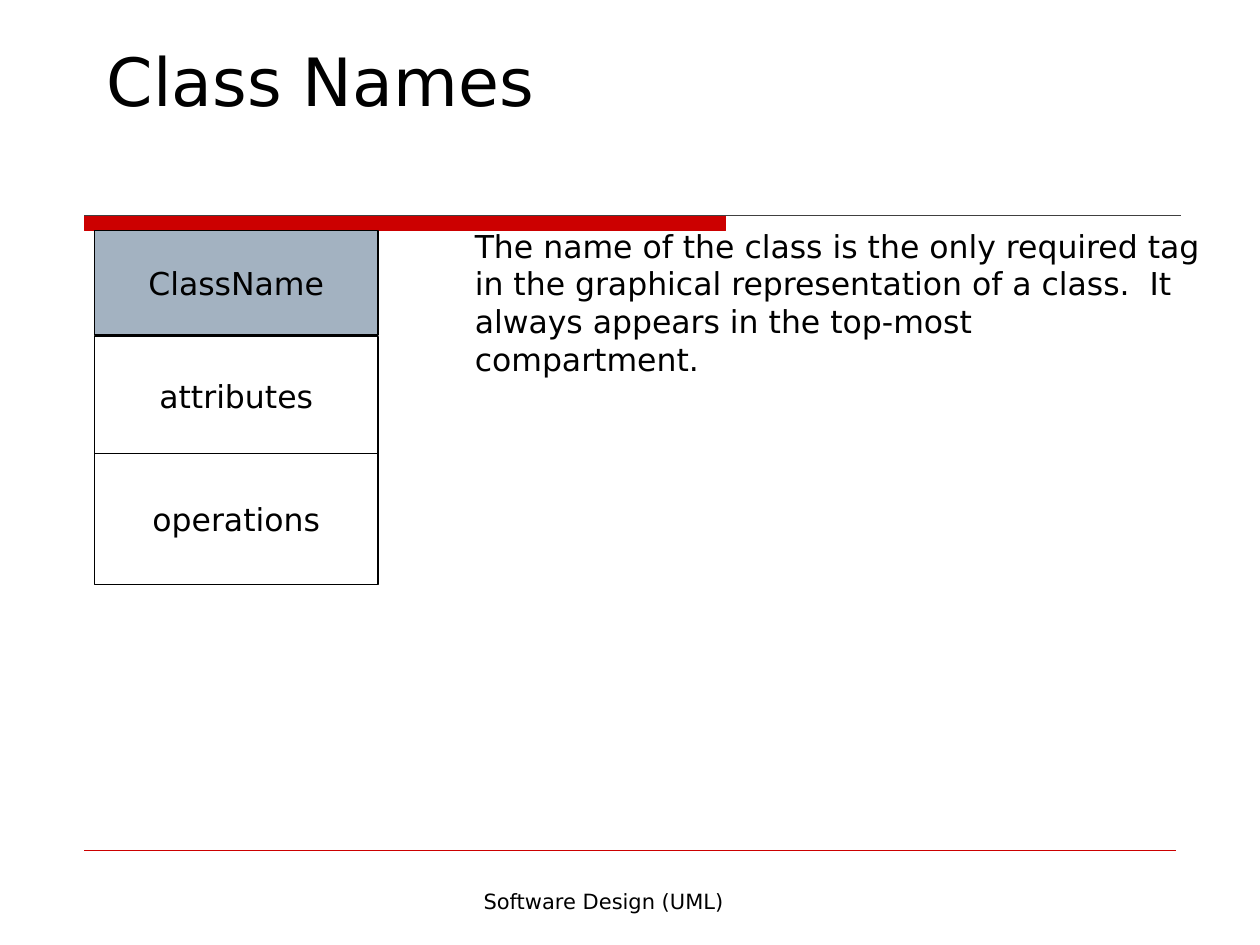
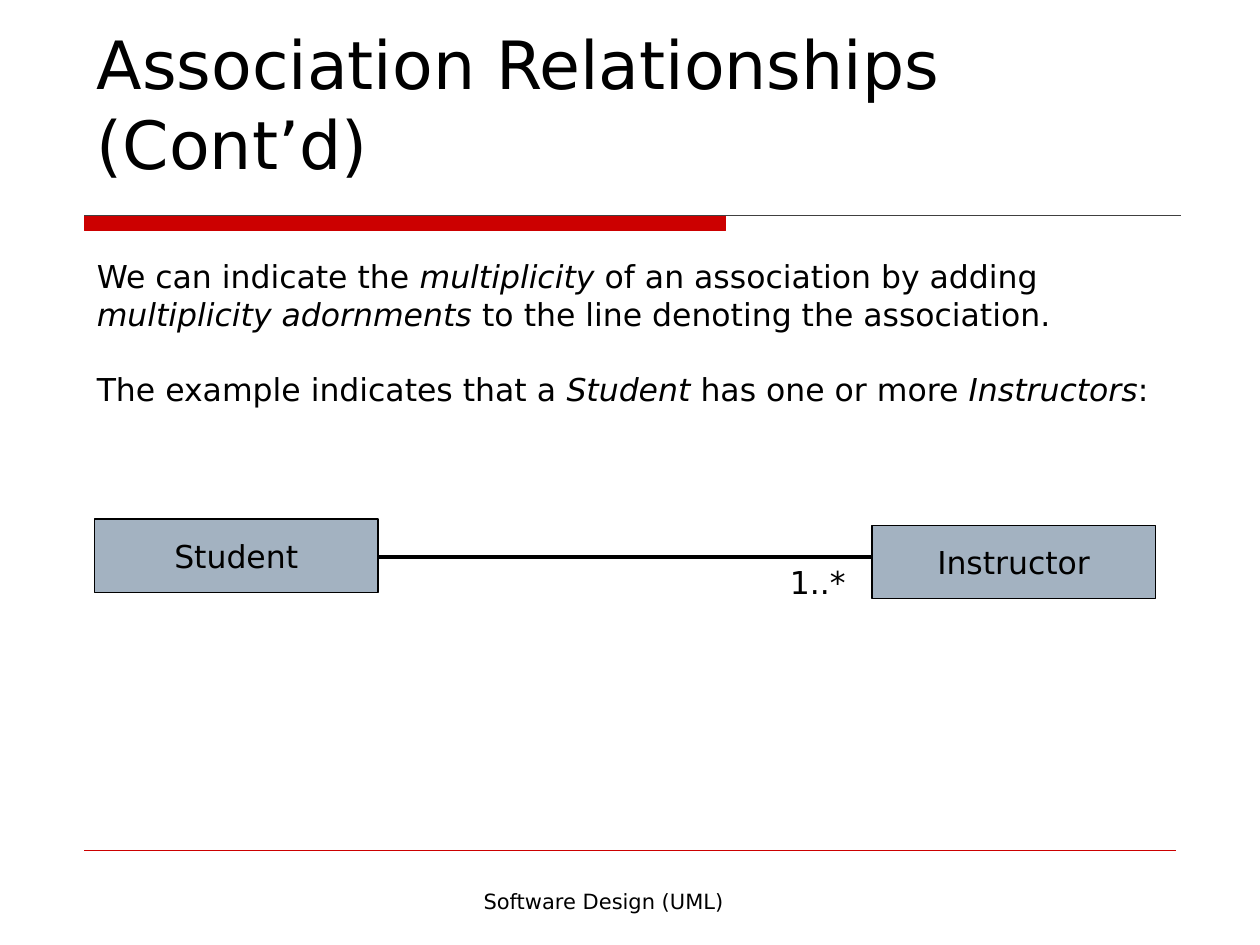
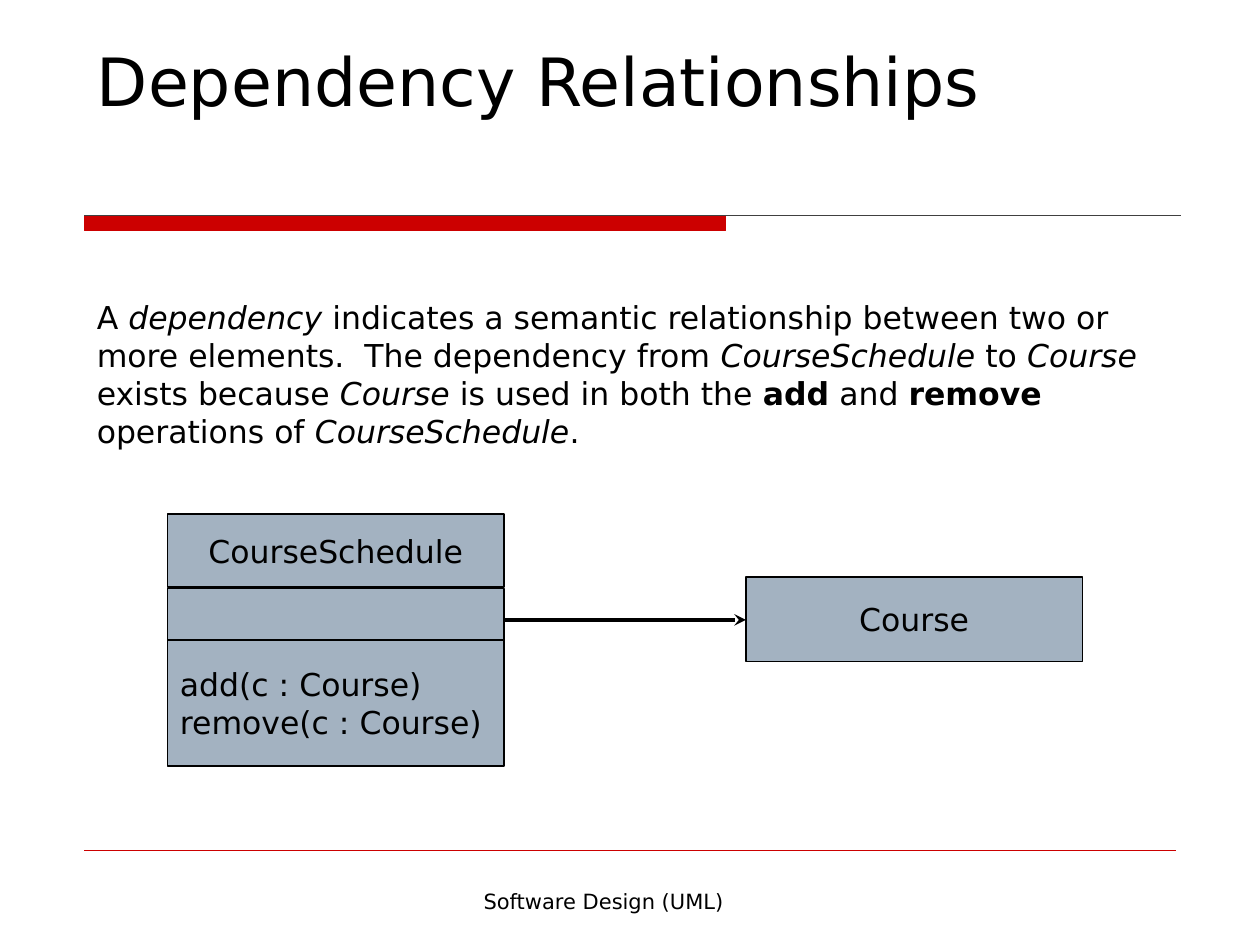
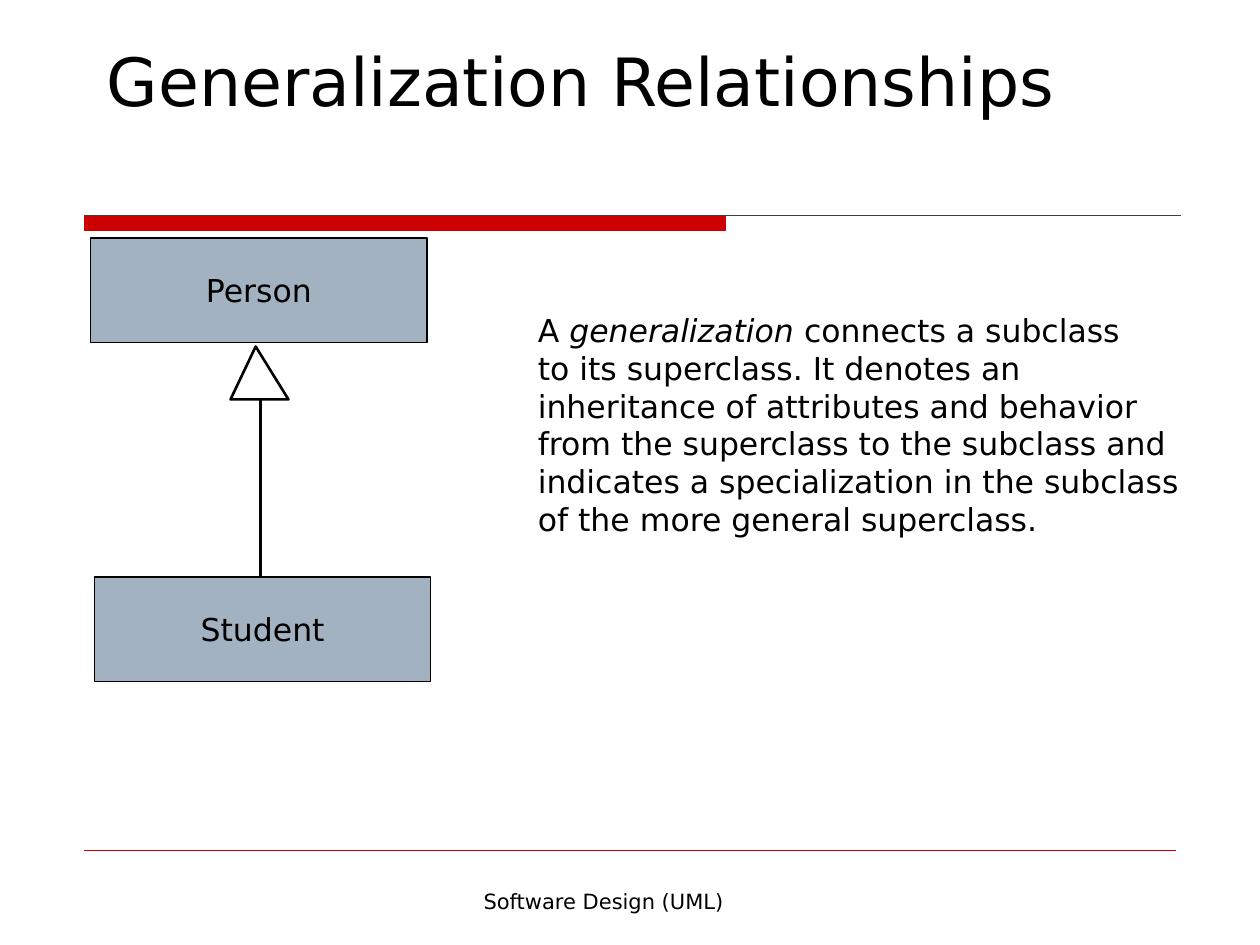
from dataclasses import dataclass

from lxml import etree
from pptx import Presentation
from pptx.dml.color import RGBColor
from pptx.enum.shapes import MSO_CONNECTOR, MSO_SHAPE
from pptx.enum.text import MSO_ANCHOR, PP_ALIGN
from pptx.oxml.ns import qn
from pptx.util import Inches, Pt


@dataclass(frozen=True)
class Theme:
    font: str = "DejaVu Sans"
    title_size: int = 38
    body_size: int = 18
    footer_size: int = 12
    black: RGBColor = RGBColor(0x00, 0x00, 0x00)
    white: RGBColor = RGBColor(0xFF, 0xFF, 0xFF)
    red: RGBColor = RGBColor(0xCC, 0x00, 0x00)
    gray: RGBColor = RGBColor(0x40, 0x40, 0x40)
    class_fill: RGBColor = RGBColor(0xA3, 0xB2, 0xC1)


theme = Theme()
ITALIC = {"italic": True}
BOLD = {"bold": True}


def add_block(shapes, area, paragraphs, fill=None, size=theme.body_size,
              align=PP_ALIGN.LEFT, anchor=MSO_ANCHOR.TOP, space_after=0):
    """Add a text box, or an outlined rectangle when a fill is given.

    A paragraph is a list of runs; a run is a string or (string, font values).
    """
    area = [Inches(value) for value in area]
    if fill is None:
        shape = shapes.add_textbox(*area)
    else:
        shape = shapes.add_shape(MSO_SHAPE.RECTANGLE, *area)
        shape.shadow.inherit = False
        shape.fill.solid()
        shape.fill.fore_color.rgb = fill
        shape.line.color.rgb = theme.black
        shape.line.width = Pt(0.75)
    frame = shape.text_frame
    frame.word_wrap = True
    frame.vertical_anchor = anchor
    for index, runs in enumerate(paragraphs):
        paragraph = frame.add_paragraph() if index else frame.paragraphs[0]
        paragraph.alignment = align
        paragraph.space_after = Pt(space_after)
        for item in runs:
            text, values = (item, {}) if isinstance(item, str) else item
            run = paragraph.add_run()
            run.text = text
            run.font.color.rgb = theme.black
            for name, value in {"name": theme.font, "size": Pt(size), **values}.items():
                setattr(run.font, name, value)
    return shape


def add_line(shapes, start, end, color=theme.black, width=2.25):
    line = shapes.add_connector(
        MSO_CONNECTOR.STRAIGHT, *[Inches(value) for value in (*start, *end)])
    line.line.color.rgb = color
    line.line.width = Pt(width)
    etree.SubElement(line.element.spPr, qn("a:effectLst"))
    return line


presentation = Presentation()
presentation.slide_width = Inches(10)
presentation.slide_height = Inches(7.5)

CLASS_BOX = {"fill": theme.class_fill, "align": PP_ALIGN.CENTER, "anchor": MSO_ANCHOR.MIDDLE}

# Band, footer and title of every slide
titles = [
    ("Class Names", (0.75, 0.42, 8.58, 0.58)),
    ("Association Relationships (Cont’d)", (0.67, 0.92, 8.92, 0.58)),
    ("Dependency Relationships", (0.67, 0.42, 8.58, 0.58)),
    ("Generalization Relationships", (0.75, 0.42, 8.58, 0.58)),
]
slide_shapes = []
for title, area in titles:
    slide = presentation.slides.add_slide(presentation.slide_layouts[6])
    shapes = slide.shapes
    band = add_block(shapes, (0.67, 1.71, 5.09, 0.12), [], fill=theme.red)
    band.line.color.rgb = theme.red
    add_line(shapes, (0.67, 1.71), (9.37, 1.71), theme.gray, 0.75)
    add_line(shapes, (0.67, 6.75), (9.33, 6.75), theme.red, 0.75)
    add_block(shapes, (2.58, 7, 4.42, 0.5), [["Software Design (UML)"]],
              size=theme.footer_size, align=PP_ALIGN.CENTER)
    add_block(shapes, area, [[title]], size=theme.title_size, anchor=MSO_ANCHOR.BOTTOM)
    slide_shapes.append(shapes)
names, association, dependency, generalization = slide_shapes

# Class names
class_diagram = names.add_group_shape().shapes
for label, top, height, fill in [
    ("ClassName", 1.83, 0.83, theme.class_fill),
    ("attributes", 2.67, 0.94, theme.white),
    ("operations", 3.6, 1.04, theme.white),
]:
    add_block(class_diagram, (0.75, top, 2.25, height), [[label]],
              **{**CLASS_BOX, "fill": fill})
add_block(names, (3.67, 1.75, 6, 1.7), [[
    "The name of the class is the only required tag in the graphical "
    "representation of a class.  It always appears in the top-most compartment."]])

# Association with multiplicity
add_block(association, (0.67, 1.99, 8.87, 2.1), [
    ["We can indicate the ", ("multiplicity", ITALIC),
     " of an association by adding ", ("multiplicity adornments", ITALIC),
     " to the line denoting the association."],
    ["The example indicates that a ", ("Student", ITALIC),
     " has one or more ", ("Instructors", ITALIC), ":"],
], space_after=21.5)
add_line(association, (3, 4.42), (7, 4.42))
for label, left, top in [("Instructor", 6.92, 4.17), ("Student", 0.75, 4.12)]:
    add_block(association, (left, top, 2.25, 0.58), [[label]], **CLASS_BOX)
add_block(association, (6.17, 4.42, 0.75, 0.5), [["1..*"]])

# Dependency
operations = [["add(c : Course)"], ["remove(c : Course)"]]
for paragraphs, left, top, height, align in [
    ([["CourseSchedule"]], 1.33, 4.08, 0.58, PP_ALIGN.CENTER),
    ([], 1.33, 4.67, 0.42, PP_ALIGN.CENTER),
    (operations, 1.33, 5.08, 1, PP_ALIGN.LEFT),
    ([["Course"]], 5.92, 4.58, 0.67, PP_ALIGN.CENTER),
]:
    add_block(dependency, (left, top, 2.67, height), paragraphs,
              **{**CLASS_BOX, "align": align})
arrow = add_line(dependency, (4, 4.92), (5.92, 4.92))
etree.SubElement(arrow.line._get_or_add_ln(), qn("a:tailEnd"), type="stealth")
add_block(dependency, (0.67, 2.32, 8.87, 2.1), [
    ["A ", ("dependency", ITALIC), " indicates a semantic relationship between two or"],
    ["more elements.  The dependency from ", ("CourseSchedule", ITALIC), " to ",
     ("Course", ITALIC), " exists because ", ("Course", ITALIC),
     " is used in both the ", ("add", BOLD), " and ", ("remove", BOLD),
     " operations of ", ("CourseSchedule", ITALIC), "."],
])

# Generalization
for label, left, top in [("Person", 0.72, 1.89), ("Student", 0.75, 4.58)]:
    add_block(generalization, (left, top, 2.67, 0.83), [[label]], **CLASS_BOX)
add_block(generalization, (4.17, 2.42, 5.55, 2.5), [
    ["A ", ("generalization", ITALIC), " connects a subclass"],
    ["to its superclass. It denotes an"],
    ["inheritance of attributes and behavior"],
    ["from the superclass to the subclass and"],
    ["indicates a specialization in the subclass"],
    ["of the more general superclass."],
])
inheritance = generalization.add_group_shape().shapes
add_line(inheritance, (2.07, 3.17), (2.07, 4.58), width=1.5)
outline = inheritance.build_freeform(Inches(2.03), Inches(2.75))
outline.add_line_segments(
    [(Inches(x), Inches(y)) for x, y in [(1.83, 3.17), (2.29, 3.17)]], close=True)
arrowhead = outline.convert_to_shape()
arrowhead.shadow.inherit = False
arrowhead.fill.solid()
arrowhead.fill.fore_color.rgb = theme.white
arrowhead.line.color.rgb = theme.black
arrowhead.line.width = Pt(1.5)

presentation.save("out.pptx")
